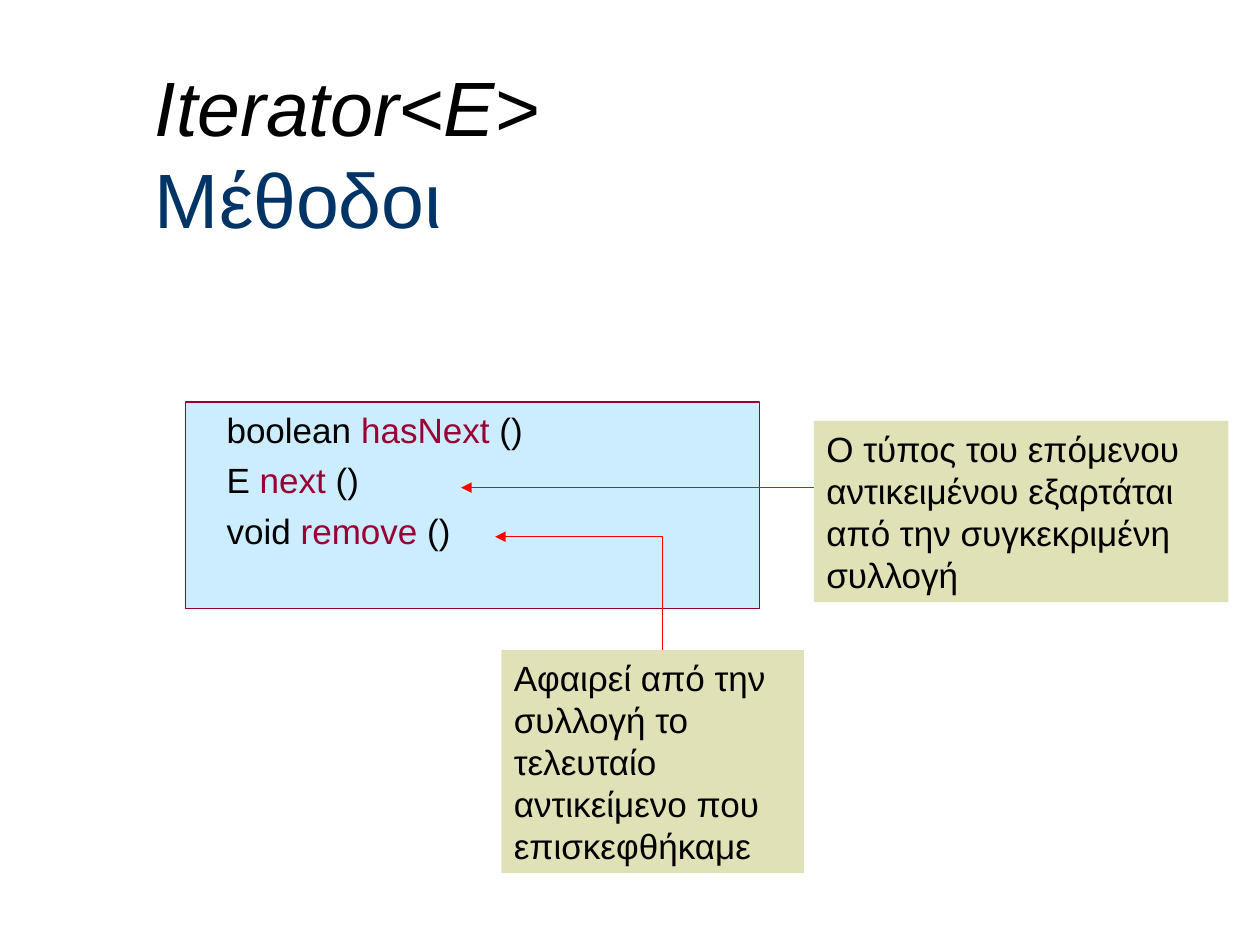
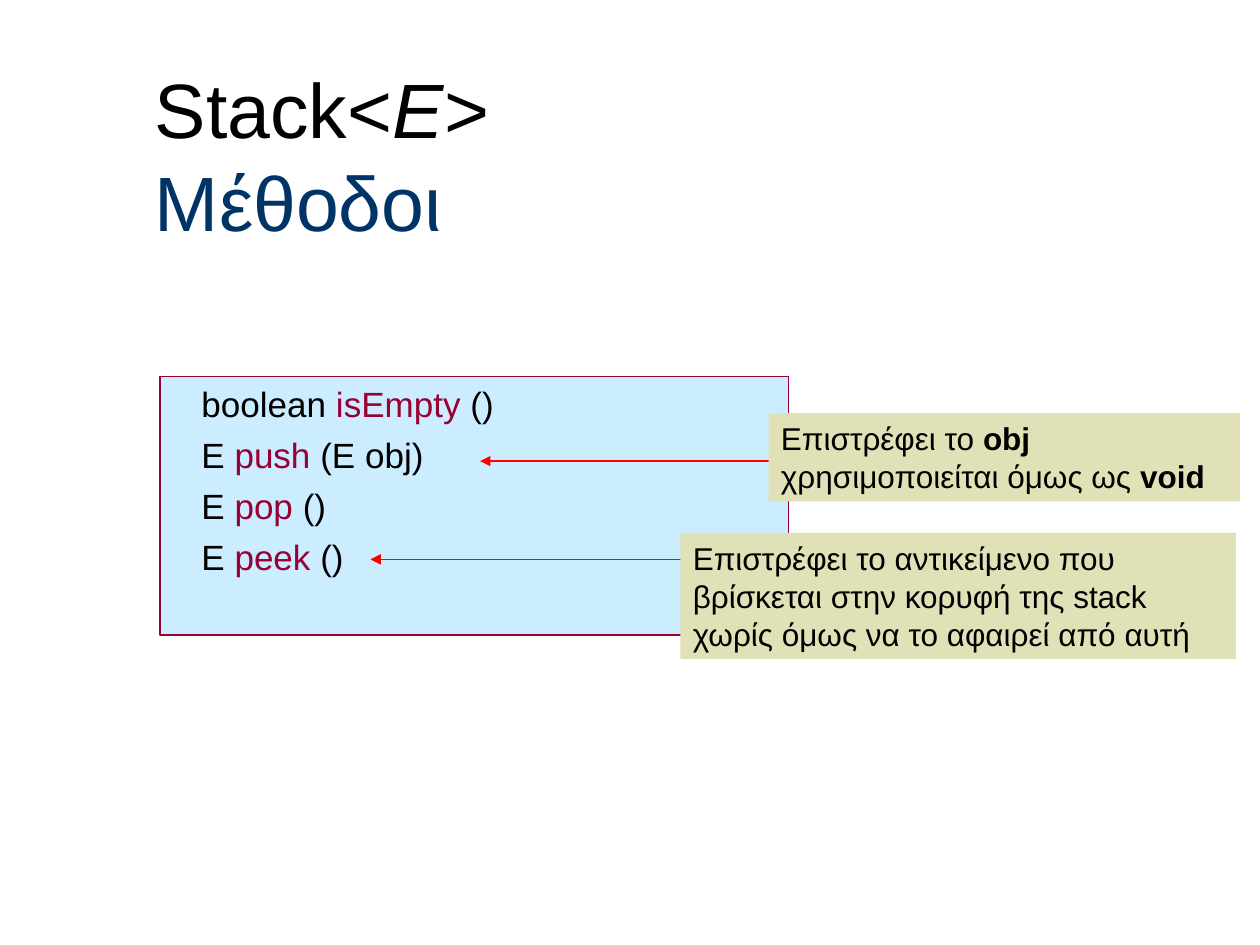
from dataclasses import dataclass

from lxml import etree
from pptx import Presentation
from pptx.dml.color import RGBColor
from pptx.enum import shapes, text
from pptx.oxml.ns import qn
from pptx.util import Inches, Pt


@dataclass(frozen=True)
class Theme:
    font: str = "Arial"
    ink: str = "000000"
    heading: str = "003366"
    method: str = "990033"
    code_fill: str = "CCECFF"
    callout_fill: str = "E1E1B7"
    arrow: str = "FF0000"
    title_size: float = 44
    code_size: float = 20
    line_width: float = 0.75
    code_gap: float = 5
    code_indent: float = 0.23


THEME = Theme()
PLAIN = {}
ITALIC = {"italic": True}
BOLD = {"bold": True}
METHOD = {"color": THEME.method}
HEADING = ("Μέθοδοι", {"color": THEME.heading})

SLIDES = [
    {
        "title": [("Iterator<E> ", ITALIC), HEADING],
        "title_box": (1.13, 0.53, 4.16, 1.35),
        "code_box": (1.47, 3.19, 4.56, 1.64),
        "methods": [
            ("boolean", "hasNext", "()"),
            ("E", "next", "()"),
            ("void", "remove", "()"),
        ],
        "arrows": [
            [(7.17, 3.87), (3.66, 3.87)],
            [(5.26, 5.3), (5.26, 4.26), (3.93, 4.26)],
        ],
        "callout_size": 20,
        "callouts": [
            ((6.46, 3.34, 3.29, 1.44),
             [("Ο τύπος του επόμενου αντικειμένου εξαρτάται από την "
               "συγκεκριμένη συλλογή", PLAIN)]),
            ((3.98, 5.16, 2.4, 1.77),
             [("Αφαιρεί από την συλλογή το τελευταίο αντικείμενο που "
               "επισκεφθήκαμε", PLAIN)]),
        ],
    },
    {
        "title": [("Stack<", PLAIN), ("E", ITALIC), ("> ", PLAIN), HEADING],
        "title_box": (1.13, 0.53, 3.15, 1.39),
        "code_box": (1.27, 2.99, 4.99, 2.05),
        "methods": [
            ("boolean", "isEmpty", "()"),
            ("E", "push", "(E obj)"),
            ("E", "pop", "()"),
            ("E", "peek", "()"),
        ],
        "arrows": [
            [(6.17, 3.66), (3.81, 3.66)],
            [(5.66, 4.44), (2.94, 4.44)],
        ],
        "callout_size": 18,
        "callouts": [
            ((6.1, 3.28, 3.74, 0.7),
             [("Επιστρέφει το ", PLAIN), ("obj", BOLD),
              (" χρησιμοποιείται όμως ως ", PLAIN), ("void", BOLD)]),
            ((5.4, 4.23, 4.41, 1.0),
             [("Επιστρέφει το αντικείμενο που βρίσκεται στην κορυφή της "
               "stack χωρίς όμως να το αφαιρεί από αυτή", PLAIN)]),
        ],
    },
]


def rgb(color):
    return RGBColor.from_string(color)


def inches(values):
    return [Inches(value) for value in values]


def write_runs(paragraph, pieces, size):
    paragraph.alignment = text.PP_ALIGN.LEFT
    for words, style in pieces:
        run = paragraph.add_run()
        run.text = words
        run.font.name = THEME.font
        run.font.size = Pt(size)
        run.font.bold = style.get("bold", False)
        run.font.italic = style.get("italic", False)
        run.font.color.rgb = rgb(style.get("color", THEME.ink))


def prepare_frame(frame, anchor):
    frame.word_wrap = True
    frame.auto_size = text.MSO_AUTO_SIZE.NONE
    frame.vertical_anchor = anchor
    frame.margin_left = frame.margin_right = Inches(0.1)
    frame.margin_top = frame.margin_bottom = Inches(0.05)


def set_title(slide, box, pieces):
    title = slide.shapes.title
    title.left, title.top, title.width, title.height = inches(box)
    prepare_frame(title.text_frame, text.MSO_ANCHOR.MIDDLE)
    write_runs(title.text_frame.paragraphs[0], pieces, THEME.title_size)


def add_box(slide, box, fill):
    shape = slide.shapes.add_shape(shapes.MSO_SHAPE.RECTANGLE, *inches(box))
    shape.shadow.inherit = False
    shape.fill.solid()
    shape.fill.fore_color.rgb = rgb(fill)
    shape.line.fill.background()
    prepare_frame(shape.text_frame, text.MSO_ANCHOR.TOP)
    return shape


def set_line(shape, color):
    shape.line.color.rgb = rgb(color)
    shape.line.width = Pt(THEME.line_width)


def add_code(slide, box, methods):
    shape = add_box(slide, box, THEME.code_fill)
    set_line(shape, THEME.method)
    frame = shape.text_frame
    for index, (result, name, arguments) in enumerate(methods):
        paragraph = frame.add_paragraph() if index else frame.paragraphs[0]
        paragraph.space_before = Pt(THEME.code_gap)
        pieces = [(result + " ", PLAIN), (name, METHOD), (" " + arguments, PLAIN)]
        write_runs(paragraph, pieces, THEME.code_size)
        properties = paragraph._p.get_or_add_pPr()
        properties.set("marL", str(Inches(THEME.code_indent)))
        properties.set("indent", "0")


def add_arrow(slide, points):
    points = [tuple(inches(point)) for point in points]
    if len(points) == 2:
        shape = slide.shapes.add_connector(
            shapes.MSO_CONNECTOR.STRAIGHT, *points[0], *points[1])
    else:
        builder = slide.shapes.build_freeform(*points[0])
        builder.add_line_segments(points[1:], close=False)
        shape = builder.convert_to_shape()
        shape.fill.background()
    set_line(shape, THEME.arrow)
    properties = shape.element.spPr
    etree.SubElement(properties.find(qn("a:ln")), qn("a:tailEnd"), type="triangle")
    etree.SubElement(properties, qn("a:effectLst"))


def add_callout(slide, box, pieces, size):
    shape = add_box(slide, box, THEME.callout_fill)
    write_runs(shape.text_frame.paragraphs[0], pieces, size)


def main():
    presentation = Presentation()
    presentation.slide_width, presentation.slide_height = inches((10, 7.5))
    title_only = presentation.slide_layouts[5]
    for content in SLIDES:
        slide = presentation.slides.add_slide(title_only)
        set_title(slide, content["title_box"], content["title"])
        add_code(slide, content["code_box"], content["methods"])
        for points in content["arrows"]:
            add_arrow(slide, points)
        for box, pieces in content["callouts"]:
            add_callout(slide, box, pieces, content["callout_size"])
    presentation.save("out.pptx")


if __name__ == "__main__":
    main()
